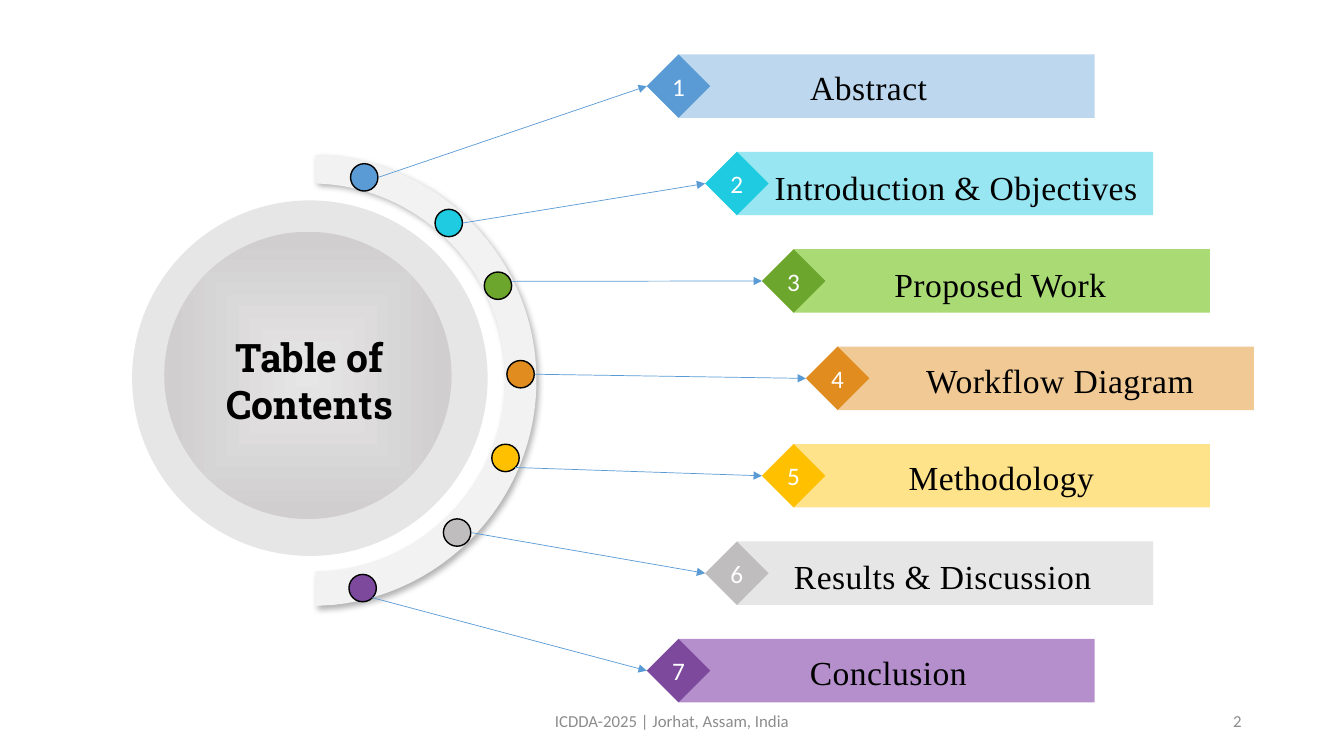
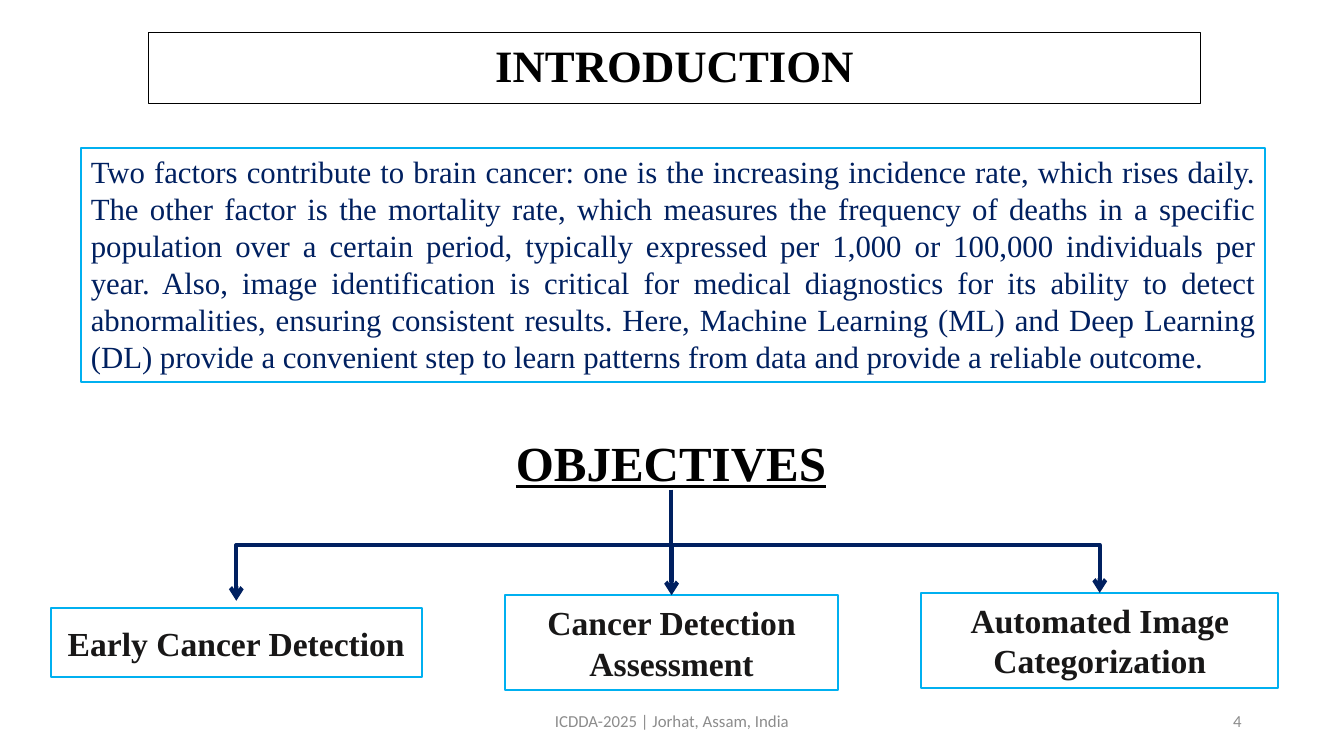
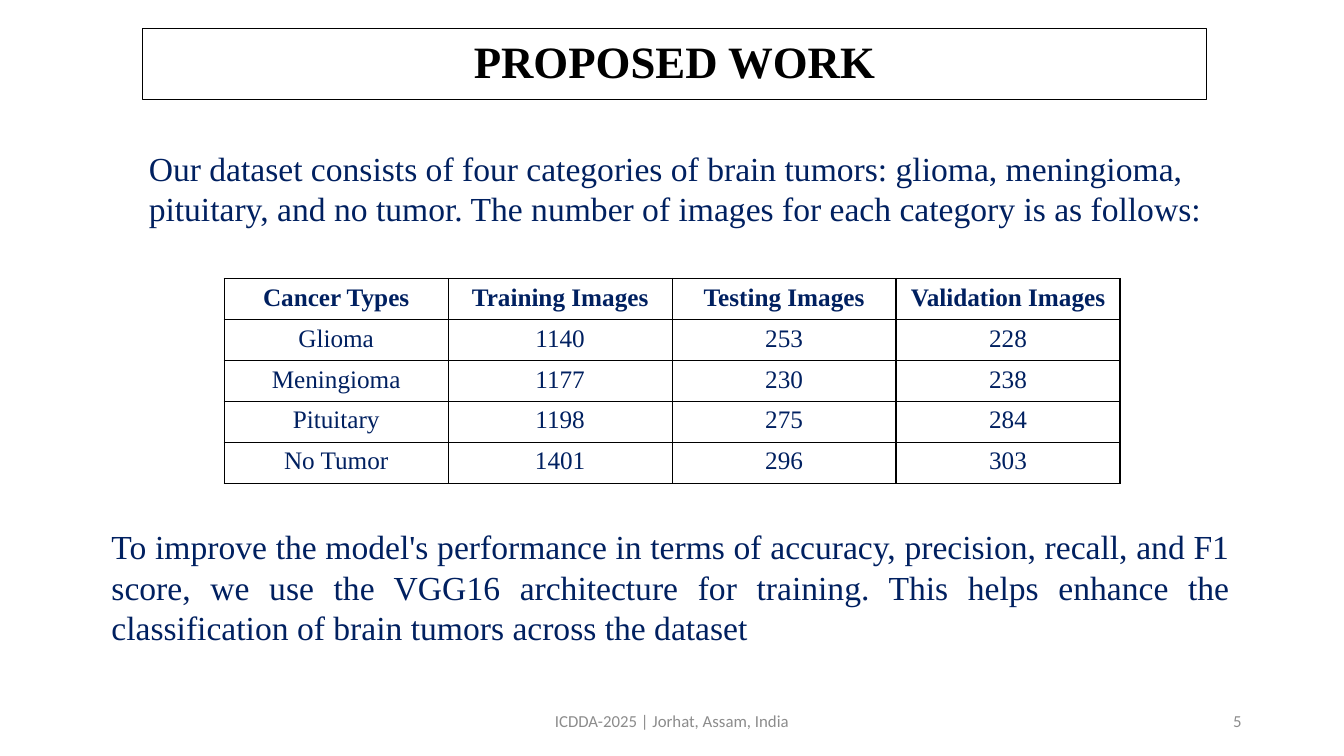
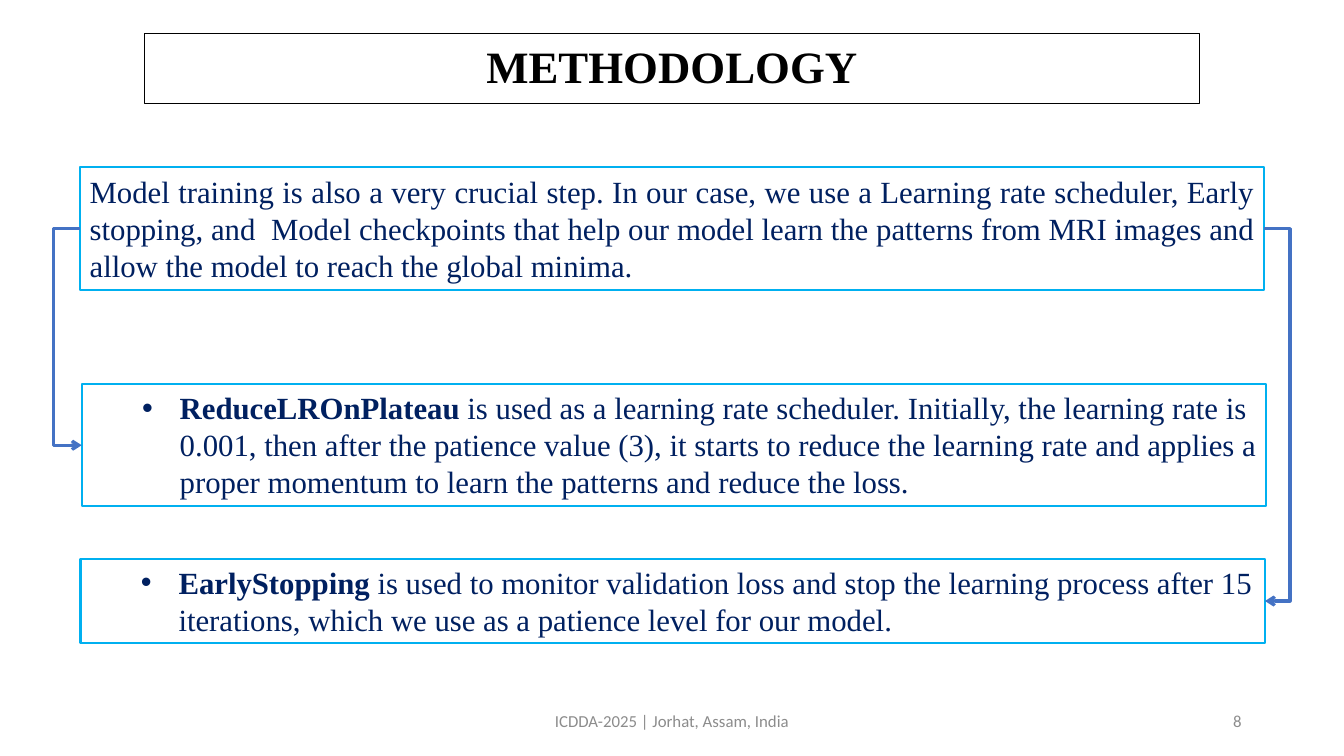
import dataclasses

import lxml.etree
import pptx
import pptx.dml.color
import pptx.enum.shapes
import pptx.enum.text
import pptx.oxml.ns
import pptx.util

Cm, Pt = pptx.util.Cm, pptx.util.Pt
qn = pptx.oxml.ns.qn
SHAPE = pptx.enum.shapes.MSO_SHAPE
CONNECTOR = pptx.enum.shapes.MSO_CONNECTOR
ALIGN = pptx.enum.text.PP_ALIGN
MIDDLE = pptx.enum.text.MSO_ANCHOR.MIDDLE

SERIF = "Times New Roman"
SANS = "Calibri"
SLAB = "Roboto Slab"


def font(name, size, color, **extra):
    return {"name": name, "size": Pt(size), "color": color, **extra}


@dataclasses.dataclass(frozen=True)
class Theme:
    black: str = "000000"
    frame: str = "00B0F0"
    branch: str = "002060"
    route: str = "4472C4"
    pointer: str = "5B9BD5"
    disc: str = "E7E6E6"
    disc_edge: str = "D0CECE"
    ring: str = "F2F2F2"

    title = font(SERIF, 32, "000000", bold=True)
    heading = font(SERIF, 35, "000000", bold=True, underline=True)
    body = font(SERIF, 22, "002060")
    lead = font(SERIF, 24, "002060")
    objective = font(SERIF, 24, "181717", bold=True)
    cell = font(SERIF, 18, "002060", bold=False)
    agenda = font(SERIF, 24, "000000")
    number = font(SANS, 18, "FFFFFF")
    hub = font(SLAB, 28, "000000", bold=True)
    footer = font(SANS, 12, "8C8C8C")


THEME = Theme()


@dataclasses.dataclass(frozen=True)
class Box:
    """A rectangle in centimetres."""
    left: float
    top: float
    width: float
    height: float

    @property
    def right(self):
        return self.left + self.width

    @property
    def center_x(self):
        return self.left + self.width / 2

    @property
    def center_y(self):
        return self.top + self.height / 2

    def emu(self):
        return [Cm(v) for v in (self.left, self.top, self.width, self.height)]

    def inner(self, left, top, width, height):
        """A box whose corner is measured from this one's."""
        return Box(self.left + left, self.top + top, width, height)


def rgb(color):
    return pptx.dml.color.RGBColor.from_string(color)


def apply(target, values):
    for key, value in values.items():
        setattr(target, key, value)


def child(parent, tag, **attributes):
    return lxml.etree.SubElement(parent, qn(tag), attributes)


def color_child(parent, color):
    return child(parent, "a:srgbClr", val=color)


def outline(part, color, width):
    part.line.color.rgb = rgb(color)
    part.line.width = Pt(width)


def write(frame, text, style, align=None, spacing=None, tracking=None):
    """Fill a frame with one paragraph; text is a string or (words, bold) runs."""
    paragraph = frame.paragraphs[0]
    apply(paragraph, {"alignment": align, "line_spacing": spacing})
    runs = [(text, style.get("bold"))] if isinstance(text, str) else text
    for words, bold in runs:
        run = paragraph.add_run()
        run.text = words
        apply(run.font, {k: v for k, v in style.items() if k != "color"})
        run.font.bold = bold
        run.font.color.rgb = rgb(style["color"])
        if tracking:
            run.font._element.set("spc", str(tracking))
    return paragraph


def add_text(slide, box, text, style, frame=None, anchor=None, **layout):
    """Wrapped text; frame is an optional (colour, points) outline."""
    area = slide.shapes.add_textbox(*box.emu())
    apply(area.text_frame, {"word_wrap": True, "vertical_anchor": anchor})
    if frame:
        outline(area, *frame)
    return write(area.text_frame, text, style, **layout)


def paint(part, color, border=None):
    part.shadow.inherit = False
    part.fill.solid()
    part.fill.fore_color.rgb = rgb(color)
    if border:
        outline(part, *border)
    else:
        part.line.fill.background()
    return part


def add_solid(slide, kind, box, color, border=None):
    return paint(slide.shapes.add_shape(kind, *box.emu()), color, border)


def add_arrow(slide, start, end, color, width, head="arrow", kind=CONNECTOR.STRAIGHT):
    arrow = slide.shapes.add_connector(kind, *[Cm(v) for v in (*start, *end)])
    outline(arrow, color, width)
    child(arrow.line._get_or_add_ln(), "a:tailEnd", type=head)
    child(arrow.element.spPr, "a:effectLst")
    return arrow


def bend(arrow, share):
    """Put the middle leg of an elbow at a share of its length."""
    guides = arrow.element.spPr.find(qn("a:prstGeom")).get_or_add_avLst()
    child(guides, "a:gd", name="adj1", fmla=f"val {round(share * 100000)}")


def add_side_elbow(slide, start, end, bend_x, color, width):
    arrow = add_arrow(slide, start, end, color, width, kind=CONNECTOR.ELBOW)
    bend(arrow, (bend_x - start[0]) / (end[0] - start[0]))


def add_down_elbow(slide, start, end, bend_y, color, width):
    """An elbow that leaves downwards: a sideways one turned by a quarter."""
    rightward = end[0] > start[0]
    half_run, half_drop = abs(end[0] - start[0]) / 2, (end[1] - start[1]) / 2
    x, y = (start[0] + end[0]) / 2, (start[1] + end[1]) / 2
    side = 1 if rightward else -1
    arrow = add_arrow(slide, (x + side * half_drop, y - half_run),
                      (x - side * half_drop, y + half_run), color, width,
                      kind=CONNECTOR.ELBOW)
    arrow.element.spPr.find(qn("a:xfrm")).set("rot", "16200000" if rightward else "5400000")
    bend(arrow, (bend_y - start[1]) / (end[1] - start[1]))


def new_slide(deck, number):
    slide = deck.slides.add_slide(deck.slide_layouts[6])
    add_text(slide, Box(11.22, 17.65, 11.43, 1.02), "ICDDA-2025 | Jorhat, Assam, India",
             THEME.footer, anchor=MIDDLE, align=ALIGN.CENTER)
    add_text(slide, Box(23.92, 17.65, 7.62, 1.02), str(number), THEME.footer,
             anchor=MIDDLE, align=ALIGN.RIGHT)
    return slide


def add_title(slide, left, top, width, text):
    add_text(slide, Box(left, top, width, 1.78), text, THEME.title,
             frame=(THEME.black, 0.75), anchor=MIDDLE, align=ALIGN.CENTER, spacing=0.9)


def add_framed(slide, box, text, style, **layout):
    return add_text(slide, box, text, style, frame=(THEME.frame, 1.5), **layout)


RIGHT, LOWER_RIGHT = (0.35, 0), (0.24, 0.24)


@dataclasses.dataclass(frozen=True)
class Entry:
    """One agenda line; label is (indent, drop, width) within its bar."""
    title: str
    strong: str
    pale: str
    left: float
    label: tuple
    dot: tuple
    leave: tuple = RIGHT


AGENDA = [
    Entry("Abstract", "5B9BD5", "BDD7EE", 16.3, (3.07, 0, 3.51), (5.85, 0.56)),
    Entry("Introduction & Objectives", "1ECBE1", "97E6F1", 17.77, (0.7, 0.05, 9.8),
          (7.98, 1.71)),
    Entry("Proposed Work", "6CA62C", "A9DA74", 19.2, (2.29, 0.03, 5.92),
          (9.22, 3.29), (0.34, -0.11)),
    Entry("Workflow Diagram", "E08C1F", "F0C994", 20.31, (1.98, 0, 7.34), (9.79, 5.52)),
    Entry("Methodology", "FFC000", "FFE38B", 19.2, (2.65, 0, 5.99), (9.41, 7.63),
          LOWER_RIGHT),
    Entry("Results & Discussion", "BFBDBD", "E7E6E6", 17.77, (1.19, 0.03, 9.25),
          (8.19, 9.51)),
    Entry("Conclusion", "7D499D", "B48FCB", 16.3, (3.06, 0, 5.16), (5.81, 10.91),
          LOWER_RIGHT),
]


def add_agenda_entry(slide, box, number, entry):
    """A numbered diamond over the left end of a labelled bar."""
    half = box.height / 2
    bar = box.inner(half, 0, box.width - half, box.height)
    add_solid(slide, SHAPE.RECTANGLE, bar, entry.pale)
    indent, drop, width = entry.label
    add_text(slide, bar.inner(indent, drop, width, 1.37), entry.title,
             THEME.agenda, spacing=1.2, tracking=30)
    diamond = add_solid(slide, SHAPE.DIAMOND, box.inner(0, 0, box.height, box.height),
                        entry.strong)
    apply(diamond.text_frame, {"margin_left": 0, "margin_right": 0,
                               "vertical_anchor": MIDDLE})
    write(diamond.text_frame, str(number), THEME.number, align=ALIGN.CENTER)


# One point is a straight edge, three points are a cubic curve
RING_START = (4.62, 0)
RING_EDGES = [
    [(4.62, 0.71)],
    [(5, 0.74)],
    [(7.47, 0.99), (9.4, 3.08), (9.4, 5.62)],
    [(9.4, 8.13), (7.47, 10.24), (5, 10.47)],
    [(4.62, 10.49)],
    [(4.62, 11.36)],
    [(5.1, 11.33)],
    [(7.95, 11.03), (10.19, 8.61), (10.19, 5.67)],
    [(10.19, 2.74), (7.95, 0.33), (5.1, 0.03)],
]


def curve_edges(freeform, edges):
    """Join the straight steps of each three-point edge into one curve."""
    steps = iter(list(freeform.element.spPr.iter(qn("a:lnTo"))))
    for edge in edges:
        group = [next(steps) for point in edge]
        if len(group) == 3:
            curve = lxml.etree.Element(qn("a:cubicBezTo"))
            group[0].addprevious(curve)
            for step in group:
                curve.append(step[0])
                step.getparent().remove(step)


def add_half_ring(slide, box):
    def place(point):
        return Cm(box.left + point[0]), Cm(box.top + point[1])

    builder = slide.shapes.build_freeform(*place(RING_START))
    builder.add_line_segments([place(p) for edge in RING_EDGES for p in edge], close=True)
    ring = paint(builder.convert_to_shape(), THEME.ring)
    curve_edges(ring, RING_EDGES)
    shadow = child(ring.element.spPr.find(qn("a:effectLst")), "a:outerShdw",
                   blurRad=str(Pt(4.5)), dist=str(Pt(2.6)), dir="3180000")
    child(color_child(shadow, THEME.black), "a:alpha", val="30000")


def fill_from_center(part, center, edge):
    part.fill.gradient()
    gradient = part.element.spPr.find(qn("a:gradFill"))
    for old in list(gradient):
        gradient.remove(old)
    stops = child(gradient, "a:gsLst")
    for position, color in (("0", center), ("96000", edge)):
        color_child(child(stops, "a:gs", pos=position), color)
    focus = child(gradient, "a:path", path="shape")
    child(focus, "a:fillToRect", l="50000", t="50000", r="50000", b="50000")


def add_wheel(slide, box):
    add_solid(slide, SHAPE.OVAL, box.inner(0, 1.14, 8.96, 8.96), THEME.disc)
    hub = add_solid(slide, SHAPE.OVAL, box.inner(0.81, 1.93, 7.24, 7.24), THEME.disc)
    fill_from_center(hub, THEME.disc, THEME.disc_edge)
    add_half_ring(slide, box)
    add_text(slide, box.inner(1.97, 4.36, 5, 2.64), "Table of Contents", THEME.hub,
             align=ALIGN.CENTER)


def contents_slide(deck):
    slide = new_slide(deck, 2)
    wheel = Box(3.33, 3.91, 10.2, 11.4)
    add_wheel(slide, wheel)
    first_top, last_top, dot = 1.37, 16.1, 0.69
    pitch = (last_top - first_top) / (len(AGENDA) - 1)
    for i, entry in enumerate(AGENDA):
        row = Box(entry.left, first_top + i * pitch, 11.29, 1.6)
        add_agenda_entry(slide, row, i + 1, entry)
        (x, y), (dx, dy) = entry.dot, entry.leave
        spot = wheel.inner(x - dot / 2, y - dot / 2, dot, dot)
        add_solid(slide, SHAPE.OVAL, spot, entry.strong, border=(THEME.black, 1))
        add_arrow(slide, (spot.center_x + dx, spot.center_y + dy),
                  (row.left, row.center_y), THEME.pointer, 0.5, head="triangle")


INTRODUCTION = (
    "Two factors contribute to brain cancer: one is the increasing incidence rate, "
    "which rises daily. The other factor is the mortality rate, which measures the "
    "frequency of deaths in a specific population over a certain period, typically "
    "expressed per 1,000 or 100,000 individuals per year. Also, image identification "
    "is critical for medical diagnostics for its ability to detect abnormalities, "
    "ensuring consistent results. Here, Machine Learning (ML) and Deep Learning (DL) "
    "provide a convenient step to learn patterns from data and provide a reliable outcome."
)


def add_objectives(slide, box):
    """A heading that branches into three framed goals."""
    add_text(slide, box.inner(10.87, 0, 9.53, 1.75), "OBJECTIVES", THEME.heading,
             align=ALIGN.CENTER)
    early = box.inner(0, 4.55, 9.35, 1.75)
    assessment = box.inner(11.44, 4.23, 8.41, 2.39)
    automated = box.inner(21.94, 4.17, 8.99, 2.39)
    goals = [("Early Cancer Detection", early), ("Cancer Detection Assessment", assessment),
             ("Automated Image Categorization", automated)]
    for goal, place in goals:
        add_framed(slide, place, goal, THEME.objective, anchor=MIDDLE, align=ALIGN.CENTER)
    trunk_x, fork_y = assessment.center_x - 0.02, box.top + 2.97
    branches = [(1.75, automated, 0), (1.75, assessment, 0), (1.57, early, 0.18)]
    for start, goal, gap in branches:
        add_down_elbow(slide, (trunk_x, box.top + start), (goal.center_x, goal.top - gap),
                       fork_y, THEME.branch, 3)


def introduction_slide(deck):
    slide = new_slide(deck, 4)
    add_title(slide, 3.74, 0.82, 26.52, "INTRODUCTION")
    add_framed(slide, Box(2.04, 3.73, 29.85, 5.89), INTRODUCTION, THEME.body,
               align=ALIGN.JUSTIFY)
    add_objectives(slide, Box(1.28, 10.77, 30.93, 6.61))


IMAGE_COUNTS = [
    ("Cancer Types", "Training Images", "Testing Images", "Validation Images"),
    ("Glioma", 1140, 253, 228),
    ("Meningioma", 1177, 230, 238),
    ("Pituitary", 1198, 275, 284),
    ("No Tumor", 1401, 296, 303),
]


def add_borders(cell, color, width):
    properties = cell._tc.get_or_add_tcPr()
    for i, side in enumerate("LRTB"):
        edge = child(properties, f"a:ln{side}", w=str(Pt(width)))
        color_child(child(edge, "a:solidFill"), color)
        properties.insert(i, edge)


def add_counts(slide, box):
    rows, columns = len(IMAGE_COUNTS), len(IMAGE_COUNTS[0])
    table = slide.shapes.add_table(rows, columns, *box.emu()).table
    apply(table, {"first_row": False, "horz_banding": False})
    for r, values in enumerate(IMAGE_COUNTS):
        for c, value in enumerate(values):
            cell = table.cell(r, c)
            cell.fill.background()
            add_borders(cell, THEME.black, 1)
            write(cell.text_frame, str(value), {**THEME.cell, "bold": r == 0},
                  align=ALIGN.CENTER)


def proposed_slide(deck):
    slide = new_slide(deck, 5)
    add_title(slide, 3.6, 0.72, 26.8, "PROPOSED WORK")
    add_text(slide, Box(3.5, 3.59, 27.48, 2.31),
             "Our dataset consists of four categories of brain tumors: glioma, meningioma, "
             "pituitary, and no tumor. The number of images for each category is as follows:",
             THEME.lead)
    add_counts(slide, Box(5.65, 7.02, 22.58, 5.16))
    add_text(slide, Box(2.56, 13.14, 28.68, 3.33),
             "To improve the model's performance in terms of accuracy, precision, recall, "
             "and F1 score, we use the VGG16 architecture for training. This helps enhance "
             "the classification of brain tumors across the dataset",
             THEME.lead, align=ALIGN.JUSTIFY)


TRAINING = (
    "Model training is also a very crucial step. In our case, we use a Learning rate "
    "scheduler, Early stopping, and  Model checkpoints that help our model learn the "
    "patterns from MRI images and allow the model to reach the global minima."
)
PLATEAU = [
    ("ReduceLROnPlateau", True),
    (" is used as a learning rate scheduler. Initially, the learning rate is 0.001, then "
     "after the patience value (3), it starts to reduce the learning rate and applies a "
     "proper momentum to learn the patterns and reduce the loss.", False),
]
STOPPING = [
    ("EarlyStopping", True),
    (" is used to monitor validation loss and stop the learning process after 15 "
     "iterations, which we use as a patience level for our model.", False),
]


def add_bullet_box(slide, box, runs):
    paragraph = add_framed(slide, box, runs, THEME.body)
    paragraph.level = 1
    properties = paragraph._p.get_or_add_pPr()
    properties.set("marL", str(Cm(2.22)))
    properties.set("indent", str(Cm(-0.95)))
    child(properties, "a:buFont", typeface="Arial")
    child(properties, "a:buChar", char="•")


def methodology_slide(deck):
    slide = new_slide(deck, 8)
    add_title(slide, 3.65, 0.84, 26.57, "METHODOLOGY")
    training = Box(2.01, 4.22, 29.85, 3.08)
    plateau = Box(2.06, 9.68, 29.85, 3.08)
    stopping = Box(2.03, 14.08, 29.85, 2.13)
    add_framed(slide, training, TRAINING, THEME.body, align=ALIGN.JUSTIFY)
    add_bullet_box(slide, plateau, PLATEAU)
    add_bullet_box(slide, stopping, STOPPING)
    pen, reach = (THEME.route, 2.25), 0.65
    add_side_elbow(slide, (training.left, training.center_y),
                   (plateau.left, plateau.center_y), training.left - reach, *pen)
    add_side_elbow(slide, (training.right, training.center_y),
                   (stopping.right, stopping.center_y), training.right + reach, *pen)


def main():
    deck = pptx.Presentation()
    apply(deck, {"slide_width": Cm(33.87), "slide_height": Cm(19.05)})
    for build in (contents_slide, introduction_slide, proposed_slide, methodology_slide):
        build(deck)
    deck.save("out.pptx")


if __name__ == "__main__":
    main()
